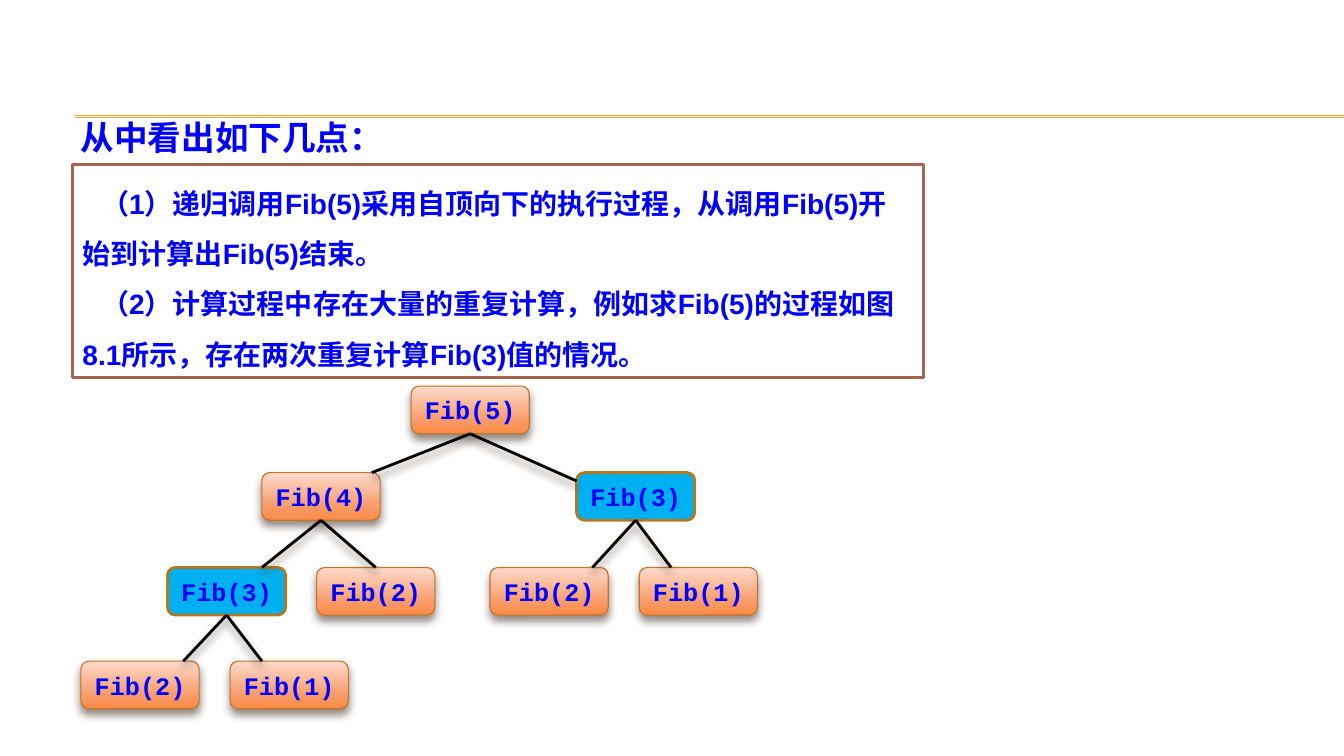
from dataclasses import dataclass

from lxml import etree
from pptx import Presentation
from pptx.dml.color import RGBColor
from pptx.enum import shapes, text
from pptx.oxml import ns
from pptx.util import Cm, Pt

BLUE = RGBColor(0x00, 0x00, 0xFF)
BLACK = RGBColor(0x00, 0x00, 0x00)
WHITE = RGBColor(0xFF, 0xFF, 0xFF)
GOLD = RGBColor(0xF0, 0xA2, 0x2E)
BROWN = RGBColor(0xA5, 0x64, 0x4E)
ORANGE_EDGE = RGBColor(0xC1, 0x75, 0x29)
REPEAT_FILL = RGBColor(0x00, 0xB0, 0xF0)
REPEAT_EDGE = RGBColor(0xB2, 0x78, 0x22)
SHADOW = RGBColor(0x4E, 0x3B, 0x30)
NODE_STOPS = (
    (0, RGBColor(0xFD, 0xDB, 0xCC)),
    (72, RGBColor(0xF8, 0x9B, 0x69)),
    (100, RGBColor(0xFC, 0x8A, 0x43)),
)

CJK_FONT = "Noto Sans CJK SC"
NODE_W, NODE_H = 2.98, 1.2
LEVEL_TOPS = (9.73, 11.91, 14.3, 16.66)
POINTS = (
    "（1）递归调用Fib(5)采用自顶向下的执行过程，从调用Fib(5)开始到计算出Fib(5)结束。",
    "（2）计算过程中存在大量的重复计算，例如求Fib(5)的过程如图8.1所示，存在两次重复计算Fib(3)值的情况。",
)


@dataclass(frozen=True)
class Call:
    """One call in the tree; the line from its caller ends at link_x, link_drop below its top."""
    n: int
    left: float
    link_x: float = 0
    link_drop: float = 0
    children: tuple["Call", ...] = ()


def fib3_call(left: float, link_x: float, link_drop: float = 0) -> Call:
    """The repeated call, with its Fib(2) and Fib(1) at fixed offsets."""
    children = (
        Call(2, left - 2.18, left + 0.4),
        Call(1, left + 1.58, left + 2.38),
    )
    return Call(3, left, link_x, link_drop, children)


CALL_TREE = Call(5, 10.36, children=(
    Call(4, 6.6, 9.37, children=(fib3_call(4.22, 6.6), Call(2, 7.98, 9.47))),
    fib3_call(14.53, 14.53, 0.21),
))


def set_effects(s, shadowed: bool) -> None:
    """Give a shape or connector its soft shadow, or none."""
    effects = etree.SubElement(s._element.spPr, ns.qn("a:effectLst"))
    if not shadowed:
        return
    shadow = etree.SubElement(
        effects, ns.qn("a:outerShdw"), blurRad=str(Pt(6)), dist=str(Pt(4)),
        dir="5400000", rotWithShape="0")
    color = etree.SubElement(shadow, ns.qn("a:srgbClr"), val=str(SHADOW))
    etree.SubElement(color, ns.qn("a:alpha"), val="60000")


def set_node_gradient(s) -> None:
    s.fill.gradient()
    s.fill.gradient_angle = 270
    stops = s._element.spPr.find(ns.qn("a:gradFill")).find(ns.qn("a:gsLst"))
    for old in list(stops):
        stops.remove(old)
    for percent, rgb in NODE_STOPS:
        stop = etree.SubElement(stops, ns.qn("a:gs"), pos=str(percent * 1000))
        etree.SubElement(stop, ns.qn("a:srgbClr"), val=str(rgb))


def format_runs(p, font: str, size: int) -> None:
    for r in p.runs:
        r.font.name = font
        r.font.size = Pt(size)
        r.font.bold = True
        r.font.color.rgb = BLUE
        etree.SubElement(r._r.get_or_add_rPr(), ns.qn("a:ea"), typeface=CJK_FONT)


def set_line(s, rgb: RGBColor, width: float) -> None:
    s.line.color.rgb = rgb
    s.line.width = Pt(width)


def add_line(slide, x1: float, y1: float, x2: float, y2: float,
             rgb: RGBColor, width: float, shadowed: bool):
    line = slide.shapes.add_connector(
        shapes.MSO_CONNECTOR.STRAIGHT, Cm(x1), Cm(y1), Cm(x2), Cm(y2))
    set_line(line, rgb, width)
    set_effects(line, shadowed)
    return line


def add_heading(slide) -> None:
    title = slide.shapes.title
    title.left, title.top, title.width, title.height = Cm(1.78), Cm(2.82), Cm(14.68), Cm(1.27)
    tf = title.text_frame
    tf.text = "从中看出如下几点："
    tf.auto_size = text.MSO_AUTO_SIZE.NONE
    tf.vertical_anchor = text.MSO_ANCHOR.TOP
    p = tf.paragraphs[0]
    p.alignment = text.PP_ALIGN.LEFT
    format_runs(p, CJK_FONT, 24)


def add_points(slide) -> None:
    s = slide.shapes.add_shape(
        shapes.MSO_SHAPE.RECTANGLE, Cm(1.83), Cm(4.14), Cm(21.44), Cm(5.38))
    s.fill.solid()
    s.fill.fore_color.rgb = WHITE
    set_line(s, BROWN, 2)
    set_effects(s, False)
    tf = s.text_frame
    tf.word_wrap = True
    tf.vertical_anchor = text.MSO_ANCHOR.TOP
    tf.text = "\n".join(POINTS)
    for p in tf.paragraphs:
        p.alignment = text.PP_ALIGN.LEFT
        p.line_spacing = 1.5
        p._p.get_or_add_pPr().set("indent", str(Cm(0.47)))
        format_runs(p, "Arial", 20)


def add_call(slide, call: Call, level: int = 0) -> None:
    """Draw a call, then its callees and the lines down to them."""
    s = slide.shapes.add_shape(
        shapes.MSO_SHAPE.ROUNDED_RECTANGLE, Cm(call.left), Cm(LEVEL_TOPS[level]),
        Cm(NODE_W), Cm(NODE_H))
    repeated = call.n == 3
    if repeated:
        s.fill.solid()
        s.fill.fore_color.rgb = REPEAT_FILL
        set_line(s, REPEAT_EDGE, 2)
    else:
        set_node_gradient(s)
        set_line(s, ORANGE_EDGE, 0.79)
    set_effects(s, not repeated)
    tf = s.text_frame
    tf.text = f"Fib({call.n})"
    tf.vertical_anchor = text.MSO_ANCHOR.MIDDLE
    p = tf.paragraphs[0]
    p.alignment = text.PP_ALIGN.CENTER
    format_runs(p, "Courier New", 18)

    for child in call.children:
        add_call(slide, child, level + 1)
        line = add_line(
            slide, call.left + NODE_W / 2, LEVEL_TOPS[level] + NODE_H,
            child.link_x, LEVEL_TOPS[level + 1] + child.link_drop, BLACK, 2, True)
        line.begin_connect(s, 2)


def main() -> None:
    prs = Presentation()
    prs.slide_width, prs.slide_height = Cm(33.87), Cm(19.05)
    slide = prs.slides.add_slide(prs.slide_layouts[5])
    for y in (2.92, 2.95):
        add_line(slide, 1.9, y, 33.87, y, GOLD, 0.75, False)
    add_heading(slide)
    add_points(slide)
    add_call(slide, CALL_TREE)
    prs.save("out.pptx")


if __name__ == "__main__":
    main()
